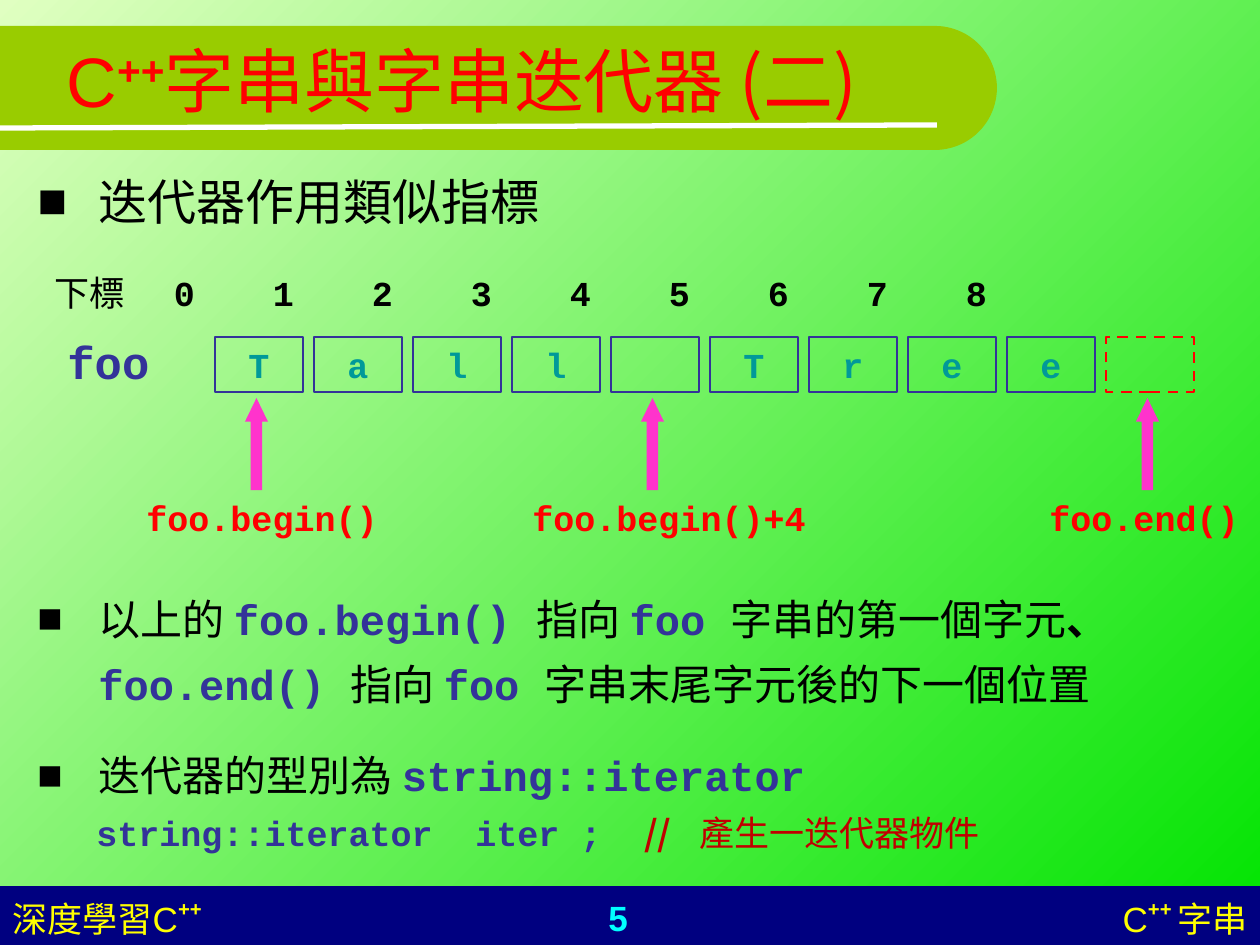
from dataclasses import dataclass, replace
from math import cos, pi, sin

from lxml import etree
from pptx import Presentation
from pptx.dml.color import RGBColor
from pptx.enum.dml import MSO_LINE_DASH_STYLE as Dash
from pptx.enum.shapes import MSO_CONNECTOR as Connector, MSO_SHAPE as Shape
from pptx.enum.text import MSO_ANCHOR as Anchor, MSO_AUTO_SIZE as AutoSize, PP_ALIGN as Align
from pptx.oxml.ns import qn
from pptx.util import Pt

SCALE = 914400 / 126  # EMU per px
WIDTH, HEIGHT = 1260, 945

BLACK = RGBColor(0x00, 0x00, 0x00)
WHITE = RGBColor(0xFF, 0xFF, 0xFF)
RED = RGBColor(0xFF, 0x00, 0x00)
DARK_RED = RGBColor(0xC0, 0x00, 0x00)
NAVY = RGBColor(0x00, 0x00, 0x80)
INDIGO = RGBColor(0x33, 0x33, 0x99)
TEAL = RGBColor(0x00, 0x99, 0x99)
CYAN = RGBColor(0x00, 0xFF, 0xFF)
YELLOW = RGBColor(0xFF, 0xFF, 0x00)
PINK = RGBColor(0xFF, 0x33, 0xCC)
OLIVE = RGBColor(0x99, 0xCC, 0x00)
PALE_GREEN = RGBColor(0xE0, 0xFF, 0xC1)
GREEN = RGBColor(0x00, 0xE4, 0x00)

SANS, MONO, CJK = "Arial", "Courier New", "Noto Sans CJK SC"

# Row of character cells
CELL_LEFT, CELL_TOP, CELL_STEP = 215, 337, 99
CELL_WIDTH, CELL_HEIGHT = 88, 55


@dataclass(frozen=True)
class Style:
    font: str
    size: int
    color: RGBColor
    bold: bool = False
    baseline: int = 0


TITLE = Style(SANS, 40, RED)
FOOTER = Style(SANS, 20, YELLOW)
BODY = Style(MONO, 24, BLACK)
BODY_CODE = replace(BODY, color=INDIGO, bold=True)
CODE = replace(BODY_CODE, size=20)
LABEL = replace(CODE, color=RED)


def px(length):
    return round(length * SCALE)


def place(shape, *bounds):
    shape.left, shape.top, shape.width, shape.height = map(px, bounds)


def write(para, *spans):
    """Add (text, Style) spans to a paragraph."""
    for text, style in spans:
        span = para.add_run()
        span.text = text
        font = span.font
        font.name, font.size, font.bold = style.font, Pt(style.size), style.bold
        font.color.rgb = style.color
        if style.baseline:
            span._r.get_or_add_rPr().set("baseline", str(style.baseline * 1000))


def add_text(page, bounds, *spans, align=Align.LEFT):
    box = page.shapes.add_textbox(*map(px, bounds))
    box.text_frame.word_wrap = True
    para = box.text_frame.paragraphs[0]
    para.alignment = align
    write(para, *spans)
    return box


def set_bullet(para):
    properties = para._p.get_or_add_pPr()
    properties.set("marL", str(px(61)))
    properties.set("indent", str(px(-61)))
    color = etree.SubElement(properties, qn("a:buClr"))
    etree.SubElement(color, qn("a:srgbClr"), val=str(BLACK))
    etree.SubElement(properties, qn("a:buFont"), typeface=SANS)
    etree.SubElement(properties, qn("a:buChar"), char="■")


def set_tabs(para, stops, align="l"):
    tabs = etree.SubElement(para._p.get_or_add_pPr(), qn("a:tabLst"))
    for stop in stops:
        etree.SubElement(tabs, qn("a:tab"), pos=str(px(stop)), algn=align)


def paint(shape, color):
    shape.shadow.inherit = False
    shape.fill.solid()
    shape.fill.fore_color.rgb = color
    shape.line.fill.background()


def add_cell(page, index, letter="", color=INDIGO):
    bounds = (CELL_LEFT + index * CELL_STEP, CELL_TOP, CELL_WIDTH, CELL_HEIGHT)
    cell = page.shapes.add_shape(Shape.RECTANGLE, *map(px, bounds))
    cell.shadow.inherit = False
    cell.fill.background()
    cell.line.color.rgb = color
    cell.line.width = Pt(1.5)
    if letter.strip():
        frame = cell.text_frame
        frame.word_wrap = False
        frame.vertical_anchor = Anchor.MIDDLE
        frame.paragraphs[0].alignment = Align.CENTER
        write(frame.paragraphs[0], (letter, replace(CODE, color=TEAL)))
    return cell


def add_pointer(page, index, text, left, width):
    bounds = (CELL_LEFT + index * CELL_STEP + 30, 398, 23, 92)
    arrow = page.shapes.add_shape(Shape.UP_ARROW, *map(px, bounds))
    arrow.adjustments[0], arrow.adjustments[1] = 0.5, 1.03
    paint(arrow, PINK)
    add_text(page, (left, 490, width, 55), (text, LABEL))


def add_background(page):
    fill = page.background.fill
    fill.gradient()
    fill.gradient_angle = 315
    for stop, position, color in zip(fill.gradient_stops, (0, 1), (PALE_GREEN, GREEN)):
        stop.position = position
        stop.color.rgb = color


def add_bands(page):
    footer = page.shapes.add_shape(Shape.RECTANGLE, 0, px(886), px(WIDTH), px(59))
    paint(footer, NAVY)

    # Title band with a round right end
    center_x, center_y, radius, steps = 935, 88, 62, 48
    arc = [(center_x + radius * cos(angle), center_y + radius * sin(angle))
           for angle in (pi * (step / steps - 0.5) for step in range(steps + 1))]
    builder = page.shapes.build_freeform(0, px(center_y - radius))
    corners = arc + [(0, center_y + radius)]
    builder.add_line_segments([(px(x), px(y)) for x, y in corners], close=True)
    band = builder.convert_to_shape()
    paint(band, OLIVE)

    rule = page.shapes.add_connector(
        Connector.STRAIGHT, 0, px(128), px(937), px(125))
    rule.line.color.rgb = WHITE
    rule.line.width = Pt(3)
    etree.SubElement(rule.element.spPr, qn("a:effectLst"))

    # Bands lie behind the placeholders
    for shape in (footer, band, rule):
        page.shapes.title.element.addprevious(shape.element)


def add_footer_text(page):
    raised = replace(FOOTER, bold=True, baseline=46)
    add_text(page, (0, 890, 294, 55), ("深度學習C", FOOTER), ("++", raised))
    add_text(page, (471, 890, 294, 55), ("5", replace(FOOTER, color=CYAN, bold=True)),
             align=Align.CENTER)
    add_text(page, (907, 890, 353, 55), ("C", FOOTER), ("++ ", raised), ("字串", FOOTER),
             align=Align.RIGHT)


def fill_placeholders(page):
    title, body = page.shapes.title, page.placeholders[1]
    place(title, 54, 0, 1134, 158)
    place(body, 25, 165, 1134, 659)
    for holder in (title, body):
        holder.text_frame.auto_size = AutoSize.NONE
    title.text_frame.vertical_anchor = Anchor.MIDDLE
    heading = title.text_frame.paragraphs[0]
    heading.alignment = Align.LEFT
    write(heading, ("C", TITLE), ("++", replace(TITLE, bold=True, baseline=30)),
          ("字串與字串迭代器 ", TITLE), ("(二)", replace(TITLE, font=CJK)))
    point = body.text_frame.paragraphs[0]
    set_bullet(point)
    point.space_before = Pt(0)
    write(point, ("迭代器作用類似指標", replace(BODY, size=28)))


def add_diagram(page):
    # Index row, one centred tab stop per digit
    label = replace(CODE, color=BLACK)
    row = add_text(page, (42, 265, 1054, 55), ("下標", replace(label, bold=False)),
                   ("".join(f"\t{index}" for index in range(9)), label))
    set_tabs(row.text_frame.paragraphs[0],
             [130 + CELL_STEP * index for index in range(9)], "ctr")

    add_text(page, (34, 328, 149, 68), ("foo", replace(CODE, size=26)), align=Align.CENTER)
    for index, letter in enumerate("Tall Tree"):
        add_cell(page, index, letter)
    add_cell(page, 9, color=RED).line.dash_style = Dash.DASH

    for pointer in ((0, "foo.begin()", 134, 258), (4, "foo.begin()+4", 520, 318),
                    (9, "foo.end()", 1037, 223)):
        add_pointer(page, *pointer)


def add_notes_on_iterators(page):
    box = add_text(
        page, (25, 572, 1171, 233),
        ("以上的 ", BODY), ("foo.begin() ", BODY_CODE), ("指向 ", BODY),
        ("foo ", BODY_CODE), ("字串的第一個字元", BODY), ("、", replace(BODY, bold=True)),
        ("foo.end() ", BODY_CODE), ("指向 ", BODY), ("foo ", BODY_CODE),
        ("字串末尾字元後的下一個位置", BODY))
    first, second = box.text_frame.paragraphs[0], box.text_frame.add_paragraph()
    write(second, ("迭代器的型別為 ", BODY), ("string::iterator", BODY_CODE))
    for para in (first, second):
        set_bullet(para)
    first.line_spacing = 1.3
    second.space_before = Pt(23)

    comment = replace(CODE, color=DARK_RED)
    line = add_text(page, (84, 805, 1012, 55), ("string::iterator\titer ;\t", CODE),
                    ("//\t", replace(comment, font=CJK)),
                    ("產生一迭代器物件", replace(comment, bold=False)))
    set_tabs(line.text_frame.paragraphs[0], (379, 548, 603))


def main():
    deck = Presentation()
    deck.slide_width, deck.slide_height = px(WIDTH), px(HEIGHT)
    page = deck.slides.add_slide(deck.slide_layouts[1])
    add_background(page)
    add_bands(page)
    add_footer_text(page)
    fill_placeholders(page)
    add_diagram(page)
    add_notes_on_iterators(page)
    deck.save("out.pptx")


if __name__ == "__main__":
    main()
